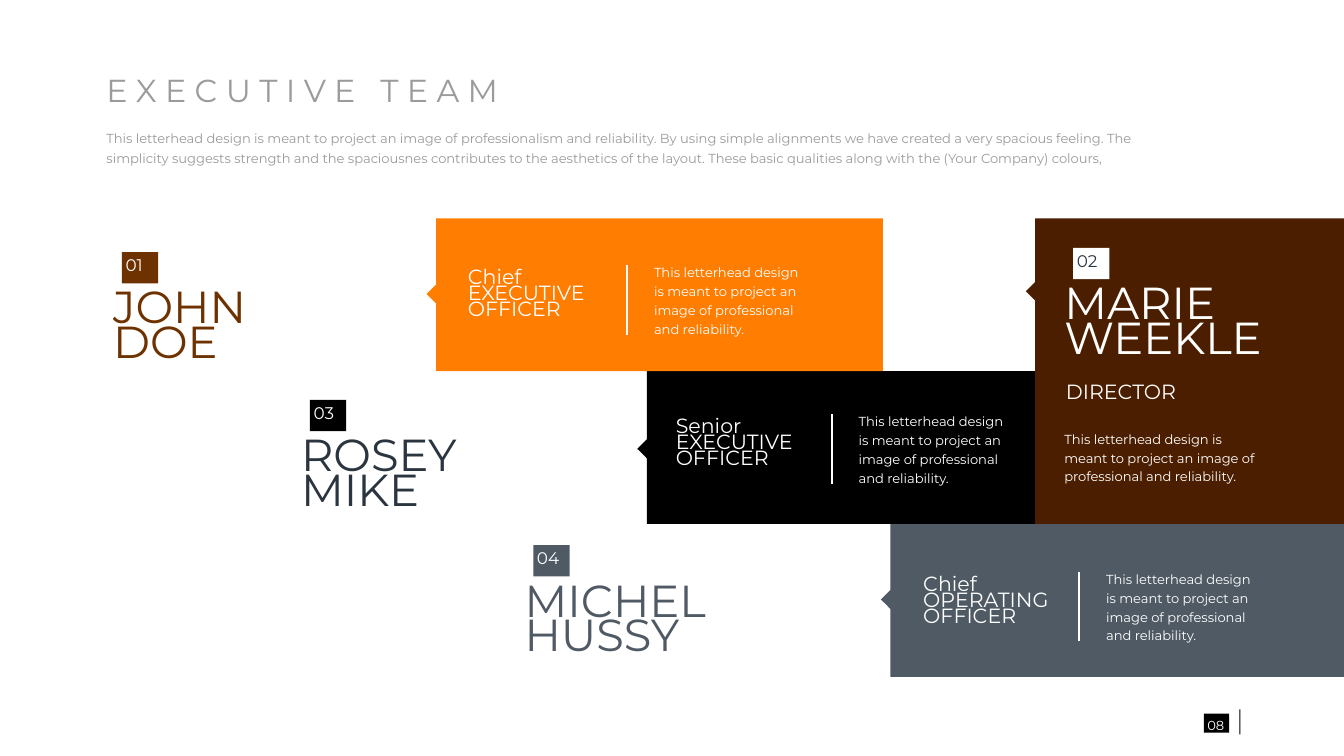
from typing import NamedTuple

from lxml import etree
from pptx import Presentation
from pptx.dml.color import RGBColor
from pptx.enum import shapes, text
from pptx.oxml import ns
from pptx.util import Pt

FONT = "Montserrat"
COLORS = {
    "grey": "9B9B9B", "white": "FFFFFF", "black": "000000", "orange": "FF7D00",
    "brown": "4B1E00", "rust": "6E3200", "slate": "505A64", "navy": "2B353F",
}
BLURB = "This letterhead design is meant to project an image of professional and reliability."


class Box(NamedTuple):
    left: float
    top: float
    width: float
    height: float

    def lengths(self):
        return [Pt(value) for value in self]


class Style(NamedTuple):
    size: float
    color: str
    spacing: float
    align: text.PP_ALIGN = text.PP_ALIGN.LEFT


class Card(NamedTuple):
    area: Box
    pointer_top: float
    color: str


class Person(NamedTuple):
    number: str
    name: str
    area: Box
    color: str
    badge: str
    number_color: str = "white"


class Role(NamedTuple):
    title: str
    left: float
    detail_left: float
    top: float


CARDS = [
    Card(Box(346.5, 198.9, 207.9, 81.8), 236.9, "black"),
    Card(Box(233.6, 117, 239.4, 81.8), 154, "orange"),
    Card(Box(554.6, 117, 165.6, 163.8), 152.5, "brown"),
    Card(Box(477, 280.8, 243, 81.9), 317.6, "slate"),
]
PEOPLE = [
    Person("01", "JOHN\nDOE", Box(60.6, 151.4, 82, 51.8), "rust", "rust"),
    Person("02", "MARIE WEEKLE", Box(570.2, 149.2, 109.4, 51.8), "white", "white", "navy"),
    Person("03", "ROSEY MIKE", Box(161.3, 230.6, 91.4, 51.8), "navy", "black"),
    Person("04", "MICHEL HUSSY", Box(281, 308.4, 101.5, 51.8), "slate", "slate"),
]
ROLES = [
    Role("Chief\nEXECUTIVE\nOFFICER", 250.6, 350.4, 139.9),
    Role("Senior\nEXECUTIVE\nOFFICER", 362, 460, 219.6),
    Role("Chief\nOPERATING OFFICER", 494.6, 592.6, 304.1),
]


def rgb(name: str) -> RGBColor:
    return RGBColor.from_string(COLORS[name])


def write(holder, content: str, style: Style) -> None:
    frame = holder.text_frame
    frame.text = content
    frame.word_wrap = True
    frame.auto_size = text.MSO_AUTO_SIZE.NONE
    frame.vertical_anchor = text.MSO_ANCHOR.MIDDLE
    frame.margin_left = frame.margin_top = frame.margin_right = frame.margin_bottom = 0
    for paragraph in frame.paragraphs:
        paragraph.alignment = style.align
        paragraph.line_spacing = style.spacing
        paragraph.space_before = Pt(0)
        if holder.is_placeholder:
            properties = paragraph._p.get_or_add_pPr()
            properties.set("marL", "0")
            properties.set("indent", "0")
            etree.SubElement(properties, ns.qn("a:buNone"))
        paragraph.font.name = FONT
        paragraph.font.size = Pt(style.size)
        paragraph.font.color.rgb = rgb(style.color)


def fill_placeholder(holder, area: Box, content: str, style: Style) -> None:
    holder.left, holder.top, holder.width, holder.height = area.lengths()
    write(holder, content, style)


def add_text(slide, area: Box, content: str, style: Style) -> None:
    write(slide.shapes.add_textbox(*area.lengths()), content, style)


def add_block(slide, area: Box, color: str, rotation: float = 0) -> None:
    block = slide.shapes.add_shape(shapes.MSO_SHAPE.RECTANGLE, *area.lengths())
    block.rotation = rotation
    block.shadow.inherit = False
    block.fill.solid()
    block.fill.fore_color.rgb = rgb(color)
    block.line.fill.background()


def add_card(slide, card: Card) -> None:
    add_block(slide, card.area, card.color)
    add_block(slide, Box(card.area.left - 3.6, card.pointer_top, 7.2, 7.2), card.color, 45)


def add_person(slide, person: Person) -> None:
    left, top = person.area.left + 4.7, person.area.top - 16.4
    add_text(slide, person.area, person.name, Style(24, person.color, 0.65))
    add_block(slide, Box(left, top, 19.5, 16.8), person.badge)
    add_text(slide, Box(left + 2, top + 1, 17.3, 14.4), person.number,
             Style(9, person.number_color, 0.7))


def add_role(slide, role: Role) -> None:
    add_text(slide, Box(role.left, role.top + 1, 73.4, 35.3), role.title, Style(11, "white", 0.65))
    add_text(slide, Box(role.detail_left, role.top, 82, 41), BLURB, Style(7, "white", 1.2))
    x = Pt(role.detail_left - 14.4)
    divider = slide.shapes.add_connector(
        shapes.MSO_CONNECTOR.STRAIGHT, x, Pt(role.top + 2.2), x, Pt(role.top + 39.5))
    divider.line.color.rgb = rgb("white")
    divider.line.width = Pt(1)
    etree.SubElement(divider._element.spPr, ns.qn("a:effectLst"))


def main() -> None:
    deck = Presentation()
    deck.slide_width, deck.slide_height = Pt(720), Pt(405)
    slide = deck.slides.add_slide(deck.slide_layouts[1])

    fill_placeholder(slide.shapes.title, Box(57, 38.9, 220.3, 23.8),
                     "E X E C U T I V E   T E A M", Style(17, "grey", 0.7))
    fill_placeholder(
        slide.placeholders[1], Box(57, 67, 580.3, 22.3),
        "This letterhead design is meant to project an image of professionalism and reliability. "
        "By using simple alignments we have created a very spacious feeling. The simplicity "
        "suggests strength and the spaciousnes contributes to the aesthetics of the layout. "
        "These basic qualities along with the (Your Company) colours,",
        Style(7, "grey", 1.3))

    for card in CARDS:
        add_card(slide, card)
    for person in PEOPLE:
        add_person(slide, person)
    for role in ROLES:
        add_role(slide, role)

    add_text(slide, Box(571, 203, 109.4, 16.6), "DIRECTOR", Style(11, "white", 0.65))
    add_text(slide, Box(570.2, 229, 109.4, 31), BLURB, Style(7, "white", 1.2))

    add_block(slide, Box(645, 382.4, 13.5, 10.2), "black")
    add_text(slide, Box(643, 381.6, 16.6, 11.5), "08",
             Style(7, "white", 1.3, text.PP_ALIGN.CENTER))
    add_block(slide, Box(664, 380, 0.5, 13.5), "black")

    deck.save("out.pptx")


if __name__ == "__main__":
    main()
